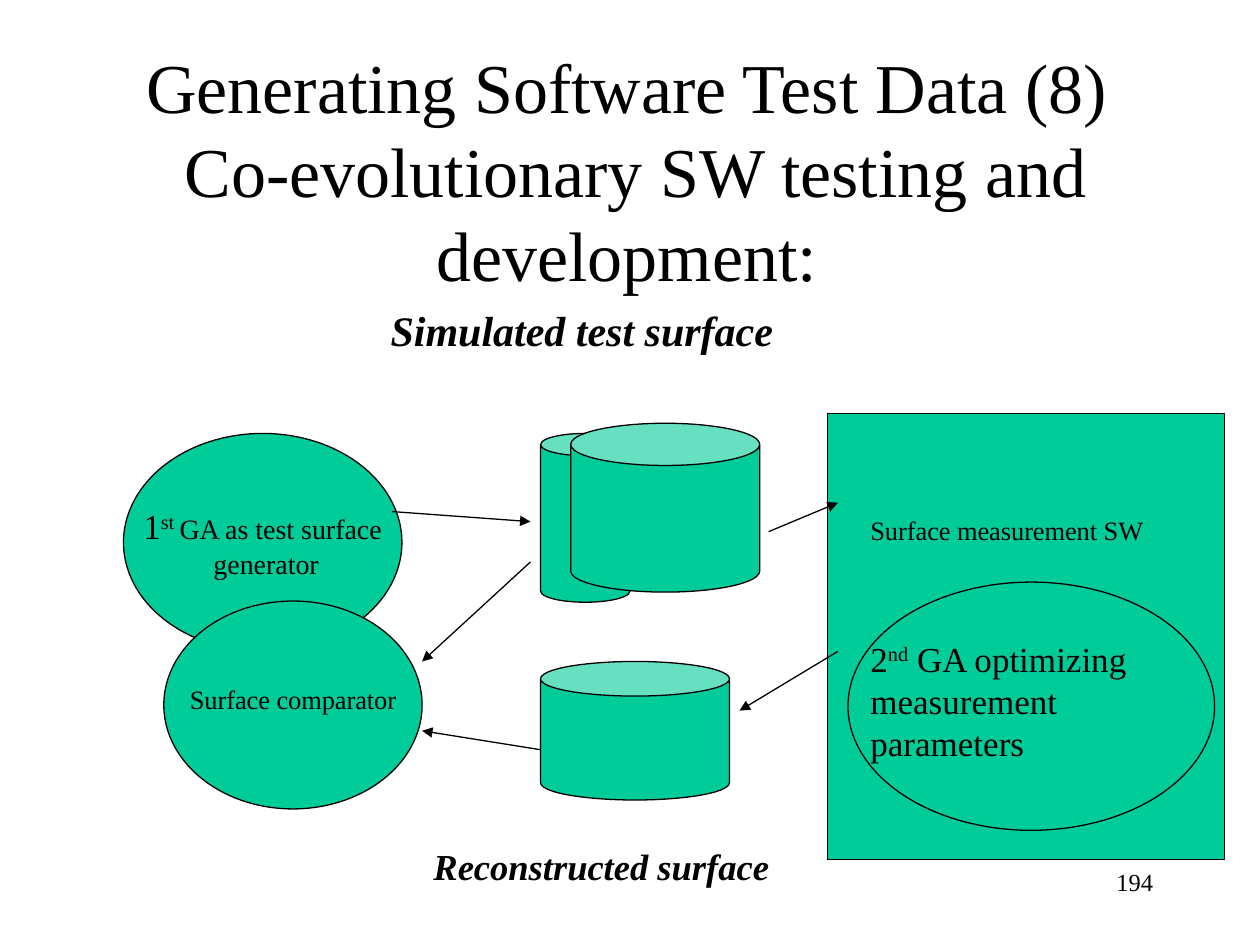
from lxml import etree
from pptx import Presentation
from pptx.dml.color import RGBColor
from pptx.enum.shapes import MSO_CONNECTOR, MSO_SHAPE
from pptx.enum.text import MSO_ANCHOR, PP_ALIGN
from pptx.oxml.ns import qn
from pptx.util import Inches, Pt

BLACK = RGBColor(0x00, 0x00, 0x00)
GREEN = RGBColor(0x00, 0xCC, 0x99)
FONT = "Times New Roman"
RAISED = {"baseline": "30000"}


def place(box):
    return [Inches(value) for value in box]


def add_run(paragraph, text, size, font_format, attributes):
    run = paragraph.add_run()
    run.text = text
    for name, value in {"name": FONT, "size": Pt(size), **font_format}.items():
        setattr(run.font, name, value)
    run.font.color.rgb = BLACK
    for name, value in attributes.items():
        run.font._element.set(name, value)


def write_text(shape, paragraphs, align=PP_ALIGN.LEFT, **frame_format):
    frame = shape.text_frame
    settings = {"word_wrap": True, "vertical_anchor": MSO_ANCHOR.TOP}
    for name, value in {**settings, **frame_format}.items():
        setattr(frame, name, value)
    for index, runs in enumerate(paragraphs):
        paragraph = frame.paragraphs[0] if index == 0 else frame.add_paragraph()
        paragraph.alignment = align
        for text, *run_format in runs:
            for line_index, line in enumerate(text.split("\n")):
                if line_index:
                    paragraph.add_line_break()
                add_run(paragraph, line, *run_format)


def add_text(slide, box, paragraphs, **options):
    write_text(slide.shapes.add_textbox(*place(box)), paragraphs, **options)


def add_green_shape(slide, kind, box):
    shape = slide.shapes.add_shape(kind, *place(box))
    shape.shadow.inherit = False
    shape.fill.solid()
    shape.fill.fore_color.rgb = GREEN
    shape.line.color.rgb = BLACK
    shape.line.width = Pt(0.75)
    return shape


def add_arrow(slide, start, end):
    arrow = slide.shapes.add_connector(MSO_CONNECTOR.STRAIGHT, *place(start + end))
    arrow.line.color.rgb = BLACK
    arrow.line.width = Pt(0.75)
    etree.SubElement(arrow.line._get_or_add_ln(), qn("a:tailEnd"), type="triangle")
    etree.SubElement(arrow._element.spPr, qn("a:effectLst"))


def add_title(slide, box):
    text = "Generating Software Test Data (8)\n Co-evolutionary SW testing and development:"
    add_text(slide, box, [[(text, 40, {}, {})]], align=PP_ALIGN.CENTER,
             vertical_anchor=MSO_ANCHOR.MIDDLE)


def add_node(slide, box, paragraphs):
    ellipse = add_green_shape(slide, MSO_SHAPE.OVAL, box)
    write_text(ellipse, paragraphs, PP_ALIGN.CENTER, word_wrap=False,
               vertical_anchor=MSO_ANCHOR.MIDDLE)


def add_genetic_side(slide, box):
    left, top, width, height = box
    add_node(slide, (left, top, 2.21, 1.73), [
        [("1", 20, {}, {}), ("st ", 20, {}, RAISED), ("GA as test surface", 16, {}, {})],
        [(" generator", 16, {}, {})],
    ])
    add_node(slide, (left + width - 2.05, top + height - 1.65, 2.05, 1.65),
             [[("Surface comparator", 26, {}, RAISED)]])


def add_surfaces(slide, box):
    left, top, width, height = box
    cans = [
        (left, top + 0.08, 0.71, 1.34),
        (left + width - 1.5, top, 1.5, 1.34),
        (left, top + height - 1.1, 1.5, 1.1),
    ]
    for can in cans:
        add_green_shape(slide, MSO_SHAPE.CAN, can)


def add_measurement(slide, box):
    left, top = box[:2]
    add_green_shape(slide, MSO_SHAPE.RECTANGLE, box)
    add_text(slide, (left + 0.24, top + 0.71, 2.76, 0.54),
             [[("Surface measurement SW", 26, {}, RAISED)]])
    add_green_shape(slide, MSO_SHAPE.OVAL, (left + 0.16, top + 1.34, 2.91, 1.97))
    add_text(slide, (left + 0.24, top + 1.73, 2.6, 1.1), [[
        ("2", 20, {}, {}), ("nd", 20, {}, RAISED),
        (" GA optimizing measurement parameters", 20, {}, {}),
    ]])


def main():
    presentation = Presentation()
    presentation.slide_width = Inches(10)
    presentation.slide_height = Inches(7.5)
    slide = presentation.slides.add_slide(presentation.slide_layouts[6])
    emphasis = {"bold": True, "italic": True}

    add_title(slide, (0.35, 0.28, 9.25, 2.13))
    add_text(slide, (0, 2.25, 9.8, 4.58), [[("Simulated test surface", 24, emphasis, {})]],
             margin_left=Inches(3.1), margin_top=Inches(0.17))
    add_genetic_side(slide, (0.98, 3.44, 2.37, 2.98))
    add_surfaces(slide, (4.29, 3.36, 1.74, 2.99))
    add_measurement(slide, (6.57, 3.28, 3.15, 3.54))

    arrows = [
        ((3.11, 4.06), (4.21, 4.14)),
        ((4.21, 4.46), (3.35, 5.25)),
        ((4.29, 5.95), (3.35, 5.8)),
        ((6.1, 4.22), (6.65, 3.99)),
        ((6.65, 5.17), (5.87, 5.64)),
    ]
    for start, end in arrows:
        add_arrow(slide, start, end)

    add_text(slide, (3.19, 6.59, 4.17, 0.7), [[("Reconstructed surface", 36, emphasis, RAISED)]],
             margin_left=Inches(0.25))
    add_text(slide, (7.17, 6.83, 2.08, 0.5), [[("194", 14, {}, {})]], align=PP_ALIGN.RIGHT)
    presentation.save("out.pptx")


if __name__ == "__main__":
    main()
